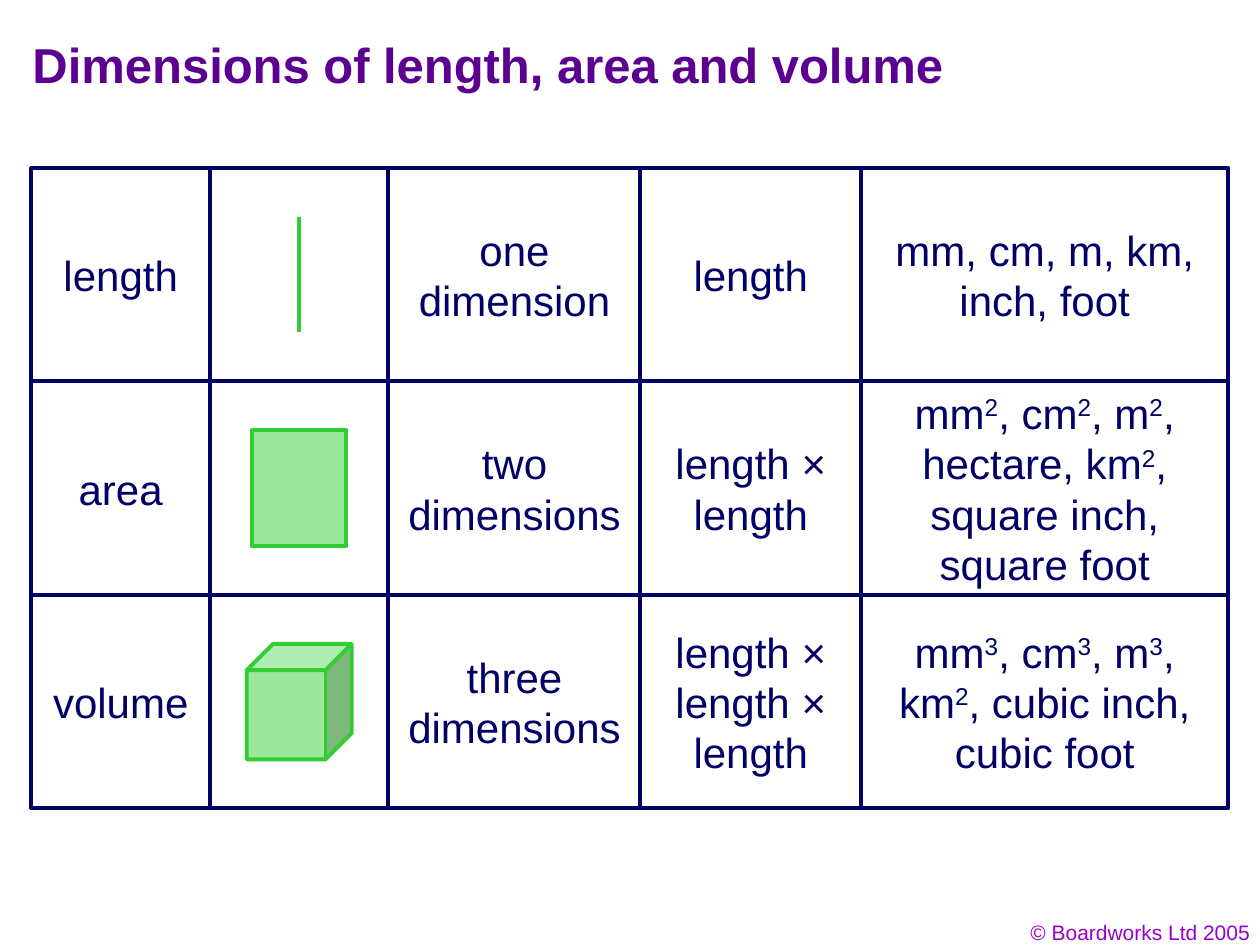
from collections import namedtuple

from lxml import etree
from pptx import Presentation
from pptx.dml.color import RGBColor
from pptx.enum.shapes import MSO_CONNECTOR, MSO_SHAPE
from pptx.enum.text import MSO_ANCHOR, PP_ALIGN
from pptx.oxml.ns import qn
from pptx.util import Inches, Pt

RECTANGLE, CUBE = MSO_SHAPE.RECTANGLE, MSO_SHAPE.CUBE
STRAIGHT = MSO_CONNECTOR.STRAIGHT
LEFT, CENTER, RIGHT = PP_ALIGN.LEFT, PP_ALIGN.CENTER, PP_ALIGN.RIGHT
TOP, MIDDLE = MSO_ANCHOR.TOP, MSO_ANCHOR.MIDDLE

Box = namedtuple("Box", "left top width height")

FONT = "Arial"
NAVY, GRID_LINE = "010066", "000066"
PURPLE, VIOLET = "5B0091", "9900CC"
GREEN, PALE_GREEN = "33CC33", "9DE79D"
LINE_WIDTH = 2.25

UNIT = 1 / 12
COLUMN_UNITS = [17, 17, 24, 21, 35]
FIGURE_COLUMN = 1
FIGURE_HEIGHT = 11 * UNIT
GRID_BOX = Box(0.25, 16 * UNIT, sum(COLUMN_UNITS) * UNIT, 61 * UNIT)

ROWS = [
    ("length", (None, 0), "one dimension", "length",
     "mm, cm, m, km, inch, foot"),
    ("area", (RECTANGLE, 9 * UNIT), "two dimensions", "length × length",
     "mm^2^, cm^2^, m^2^, hectare, km^2^, square inch, square foot"),
    ("volume", (CUBE, 10 * UNIT), "three dimensions",
     "length × length × length",
     "mm^3^, cm^3^, m^3^, km^2^, cubic inch, cubic foot"),
]


def color(value):
    """Turn a hex string into a colour."""
    return RGBColor.from_string(value)


def inches(box):
    """Convert the values of a box to slide lengths."""
    return [Inches(value) for value in box]


def write(shape, text, size, hue, align, anchor, bold=False, wrap=True):
    """Write one paragraph, raising the parts between carets."""
    frame = shape.text_frame
    frame.word_wrap = wrap
    frame.vertical_anchor = anchor
    para = frame.paragraphs[0]
    para.alignment = align
    for index, part in enumerate(text.split("^")):
        span = para.add_run()
        span.text = part
        span.font.name = FONT
        span.font.size = Pt(size)
        span.font.bold = bold
        span.font.color.rgb = color(hue)
        if index % 2:
            span._r.get_or_add_rPr().set("baseline", "30000")


def add_outlined(page, kind, box, line, fill=None):
    """Add a preset shape with an outline and an optional fill."""
    shape = page.shapes.add_shape(kind, *inches(box))
    shape.shadow.inherit = False
    if fill:
        shape.fill.solid()
        shape.fill.fore_color.rgb = color(fill)
    else:
        shape.fill.background()
    shape.line.color.rgb = color(line)
    shape.line.width = Pt(LINE_WIDTH)
    return shape


def add_figure(page, cell, kind, width):
    """Centre a line, square or cube in its cell."""
    left = cell.left + (cell.width - width) / 2
    top = cell.top + (cell.height - FIGURE_HEIGHT) / 2
    if kind is not None:
        box = Box(left, top, width, FIGURE_HEIGHT)
        add_outlined(page, kind, box, GREEN, PALE_GREEN)
        return
    ends = inches((left, top, left, top + FIGURE_HEIGHT))
    line = page.shapes.add_connector(STRAIGHT, *ends)
    line.line.color.rgb = color(GREEN)
    line.line.width = Pt(LINE_WIDTH)
    etree.SubElement(line._element.spPr, qn("a:effectLst"))


def add_grid(page, box):
    """Lay out the rows of measures in bordered cells."""
    height = box.height / len(ROWS)
    unit = box.width / sum(COLUMN_UNITS)
    for row, entries in enumerate(ROWS):
        left = box.left
        for column, (units, entry) in enumerate(zip(COLUMN_UNITS, entries)):
            cell = Box(left, box.top + row * height, units * unit, height)
            shape = add_outlined(page, RECTANGLE, cell, GRID_LINE)
            if column == FIGURE_COLUMN:
                add_figure(page, cell, *entry)
            else:
                write(shape, entry, 24, NAVY, CENTER, MIDDLE, wrap=column > 0)
            left += cell.width


def add_label(page, box, *style, **options):
    """Add a text box in the given style."""
    write(page.shapes.add_textbox(*inches(box)), *style, **options)


def main():
    """Build and save the slide."""
    deck = Presentation()
    deck.slide_width, deck.slide_height = Inches(10), Inches(7.5)
    page = deck.slides.add_slide(deck.slide_layouts[6])
    add_label(page, Box(7.69, 7.25, 2.33, 0.3), "© Boardworks Ltd 2005",
              12, VIOLET, RIGHT, TOP)
    add_label(page, Box(0.16, 0.16, 8.04, 0.69),
              "Dimensions of length, area and volume",
              28, PURPLE, LEFT, MIDDLE, bold=True)
    add_grid(page, GRID_BOX)
    deck.save("out.pptx")


if __name__ == "__main__":
    main()
